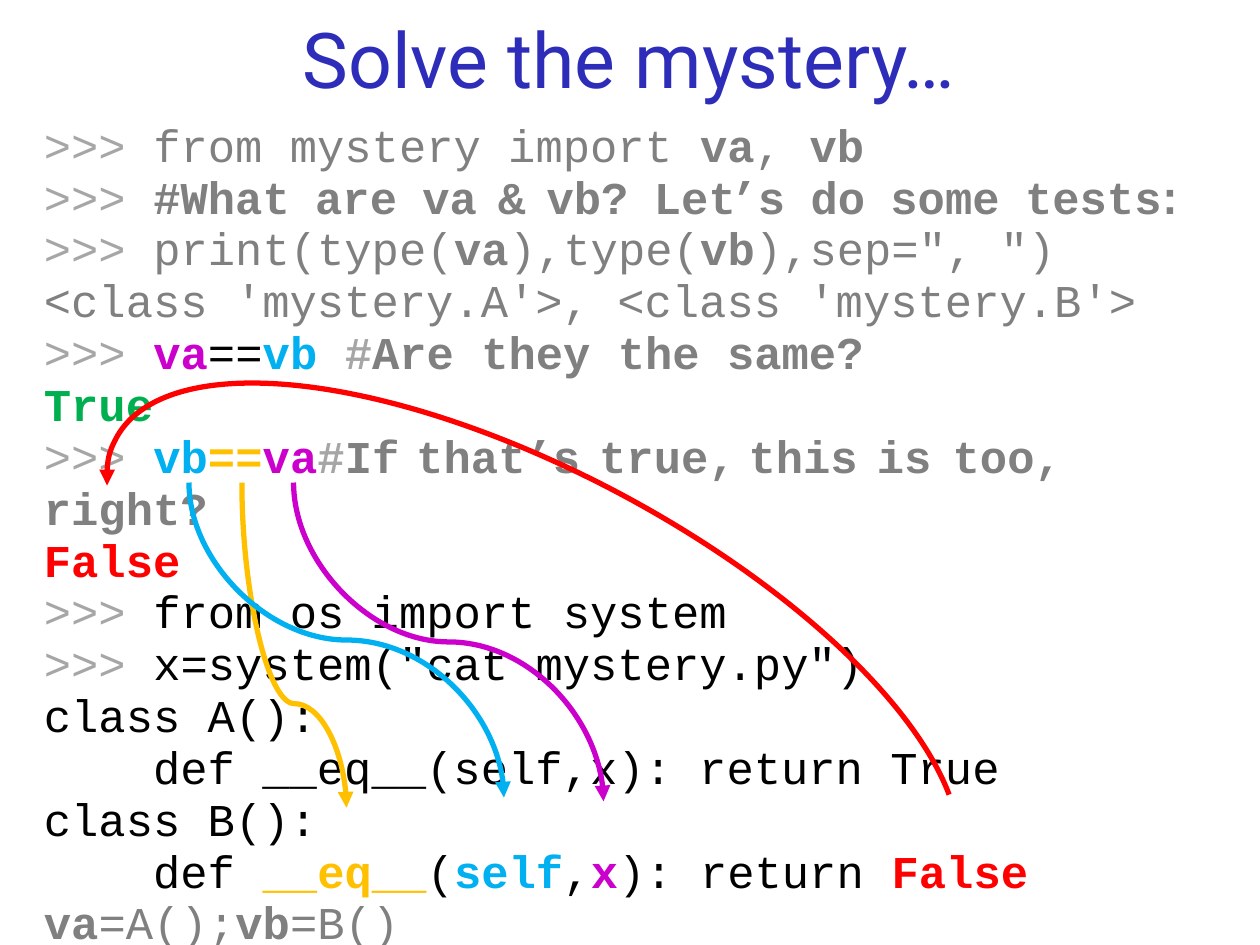
from pptx import Presentation
from pptx.dml.color import RGBColor
from pptx.enum.shapes import MSO_CONNECTOR as Link, MSO_SHAPE as Shape
from pptx.enum.text import MSO_ANCHOR as Anchor, PP_ALIGN as Align
from pptx.oxml.ns import qn
from pptx.util import Inches, Pt
from lxml.etree import SubElement

NAVY, LIGHT, GRAY, BLACK = "2D2DB9", "A6A6A6", "808080", "000000"
PURPLE, BLUE, GOLD, GREEN, RED = "CC00CC", "00B0F0", "FFC000", "00B050", "FF0000"
PROMPT = (">>> ", LIGHT)


def rgb(value):
    return RGBColor.from_string(value)


def add_box(page, left, top, width, height, anchor=Anchor.TOP):
    box = page.shapes.add_textbox(*map(Inches, (left, top, width, height)))
    frame = box.text_frame
    frame.word_wrap = True
    frame.vertical_anchor = anchor
    return frame


def add_span(para, text, color=BLACK, bold=False, size=26, spacing=0, font="Courier New"):
    span = para.add_run()
    span.text = text
    span.font.name = font
    span.font.size = Pt(size)
    span.font.bold = bold
    span.font.color.rgb = rgb(color)
    if spacing:
        span.font._element.set("spc", str(round(spacing * 100)))


def comment(*parts):
    spans = []
    for part in parts:
        if isinstance(part, int):
            spans.append((" ", GRAY, True, part))
        elif isinstance(part, tuple):
            text, spacing = part
            spans.append((text, GRAY, True, 26, spacing))
        else:
            spans.append((part, GRAY, True))
    return spans


def code_lines():
    va, vb = ("va", GRAY, True), ("vb", GRAY, True)
    question = comment("#What", 24, "are", 24, "va", 20, "&", 20, "vb?", 24, "Le",
                       ("t’", -3), "s", 24, "do", 24, "some", 24, "test", ("s:", -3))
    doubt = comment("If", 16, "tha", ("t", -3), ("’", -4), "s", 18, "tru", ("e", -4), ",", 12,
                    "this", 18, "is", 20, "to", ("o", -4), ",", 12, "right?")
    return [
        [PROMPT, ("from mystery import ", GRAY), va, (", ", GRAY), vb],
        [PROMPT, *question],
        [PROMPT, ("print(type(", GRAY), va, ("),type(", GRAY), vb, ('),sep=", ")', GRAY)],
        [("<class 'mystery.A'>, <class 'mystery.B'>", GRAY)],
        [PROMPT, ("va", PURPLE, True), ("==",), ("vb ", BLUE, True), ("#", LIGHT, True),
         ("Are they the same?", GRAY, True)],
        [("True", GREEN, True)],
        [PROMPT, ("vb", BLUE, True), ("==", GOLD, True), ("va", PURPLE, True),
         ("#", LIGHT, True), *doubt],
        [("False", RED, True)],
        [PROMPT, ("from os import system",)],
        [PROMPT, ('x=system("cat mystery.py")',)],
        [("class A():",)],
        [("    def __eq__(self,x): return True",)],
        [("class B():",)],
        [("    def ",), ("__eq__", GOLD, True), ("(",), ("self", BLUE, True), (",",),
         ("x", PURPLE, True), ("): return ",), ("False", RED, True)],
        [va, ("=A();", GRAY), vb, ("=B()", GRAY)],
    ]


def add_title(page):
    para = add_box(page, 0.58, 0, 8.83, 0.92, Anchor.MIDDLE).paragraphs[0]
    para.alignment = Align.CENTER
    add_span(para, "Solve the mystery…", NAVY, size=44, font="Roboto")


def add_code(page):
    frame = add_box(page, 0.25, 0.91, 9.58, 6.59)
    for index, spans in enumerate(code_lines()):
        para = frame.add_paragraph() if index else frame.paragraphs[0]
        para.line_spacing = 0.95
        for span in spans:
            add_span(para, *span)


def style_line(shape, color, end):
    shape.line.color.rgb = rgb(color)
    shape.line.width = Pt(3)
    SubElement(shape.line._get_or_add_ln(), qn(f"a:{end}"), type="triangle")


def add_falling_curve(page, start, finish, color, bend=0.5):
    (x1, y1), (x2, y2) = start, finish
    center_x, center_y = (x1 + x2) / 2, (y1 + y2) / 2
    half_width, half_height = (y2 - y1) / 2, (x2 - x1) / 2
    curve = page.shapes.add_connector(
        Link.CURVE,
        Inches(center_x + half_width), Inches(center_y - half_height),
        Inches(center_x - half_width), Inches(center_y + half_height))
    properties = curve._element.spPr
    properties.find(qn("a:xfrm")).set("rot", str(270 * 60000))
    guides = properties.find(qn("a:prstGeom")).get_or_add_avLst()
    SubElement(guides, qn("a:gd"), name="adj1", fmla=f"val {round(bend * 100000)}")
    style_line(curve, color, "tailEnd")
    SubElement(properties, qn("a:effectLst"))


def add_return_arc(page):
    arc = page.shapes.add_shape(Shape.ARC, *map(Inches, (0.48, 3.75, 7.5, 2.99)))
    arc.shadow.inherit = False
    arc.fill.background()
    arc.rotation = 28.1
    arc.adjustments[0] = 212.57
    arc.adjustments[1] = 101.84
    frame = arc._element.spPr.find(qn("a:xfrm"))
    for flip in ("flipH", "flipV"):
        frame.set(flip, "1")
    style_line(arc, RED, "headEnd")


def main():
    deck = Presentation()
    deck.slide_width, deck.slide_height = Inches(10), Inches(7.5)
    page = deck.slides.add_slide(deck.slide_layouts[6])
    add_title(page)
    add_code(page)
    add_falling_curve(page, (2.33, 3.83), (4.79, 6.36), PURPLE)
    add_falling_curve(page, (1.92, 3.83), (2.75, 6.41), GOLD, bend=0.68)
    add_falling_curve(page, (1.5, 3.83), (4, 6.33), BLUE)
    add_return_arc(page)
    deck.save("out.pptx")


if __name__ == "__main__":
    main()
